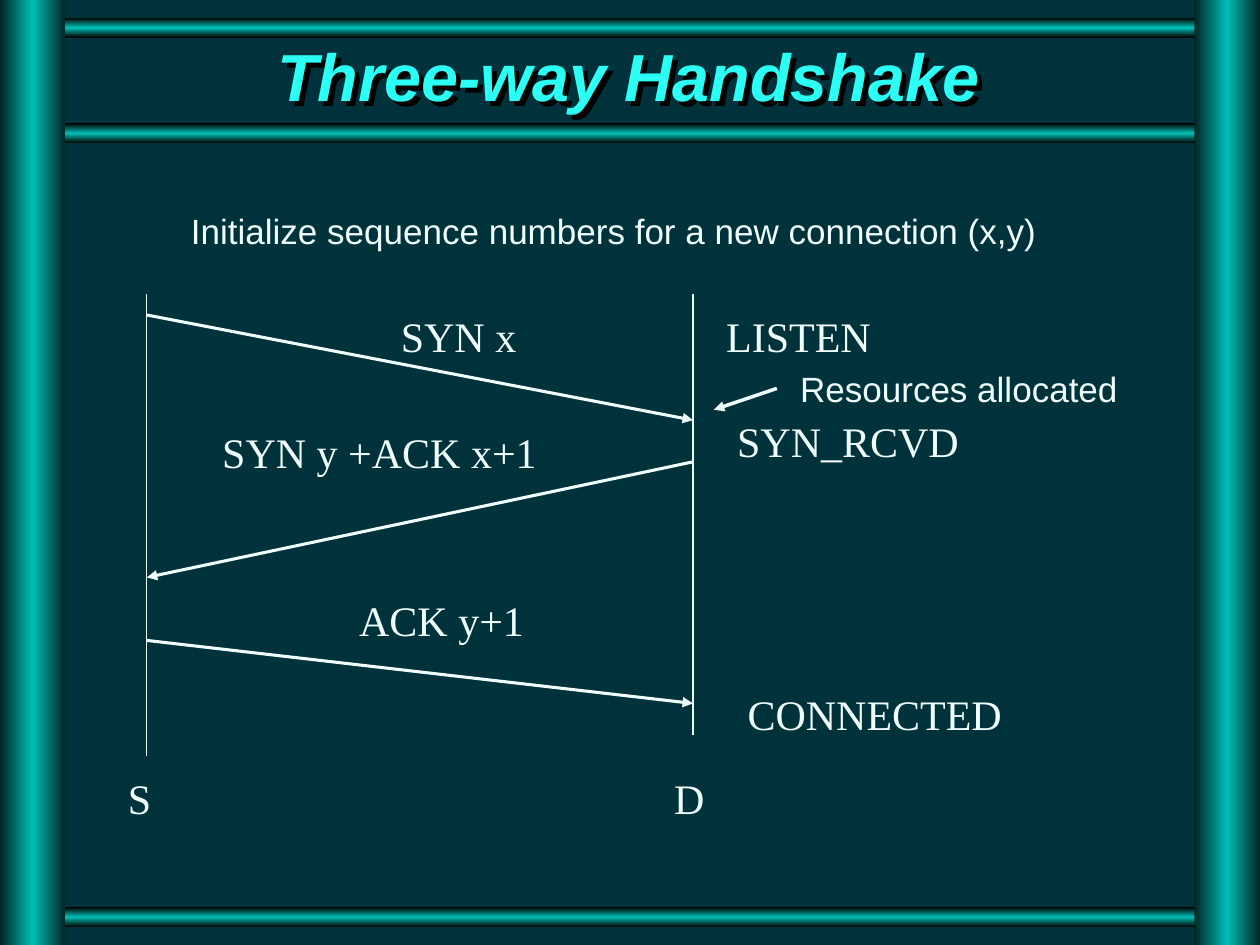
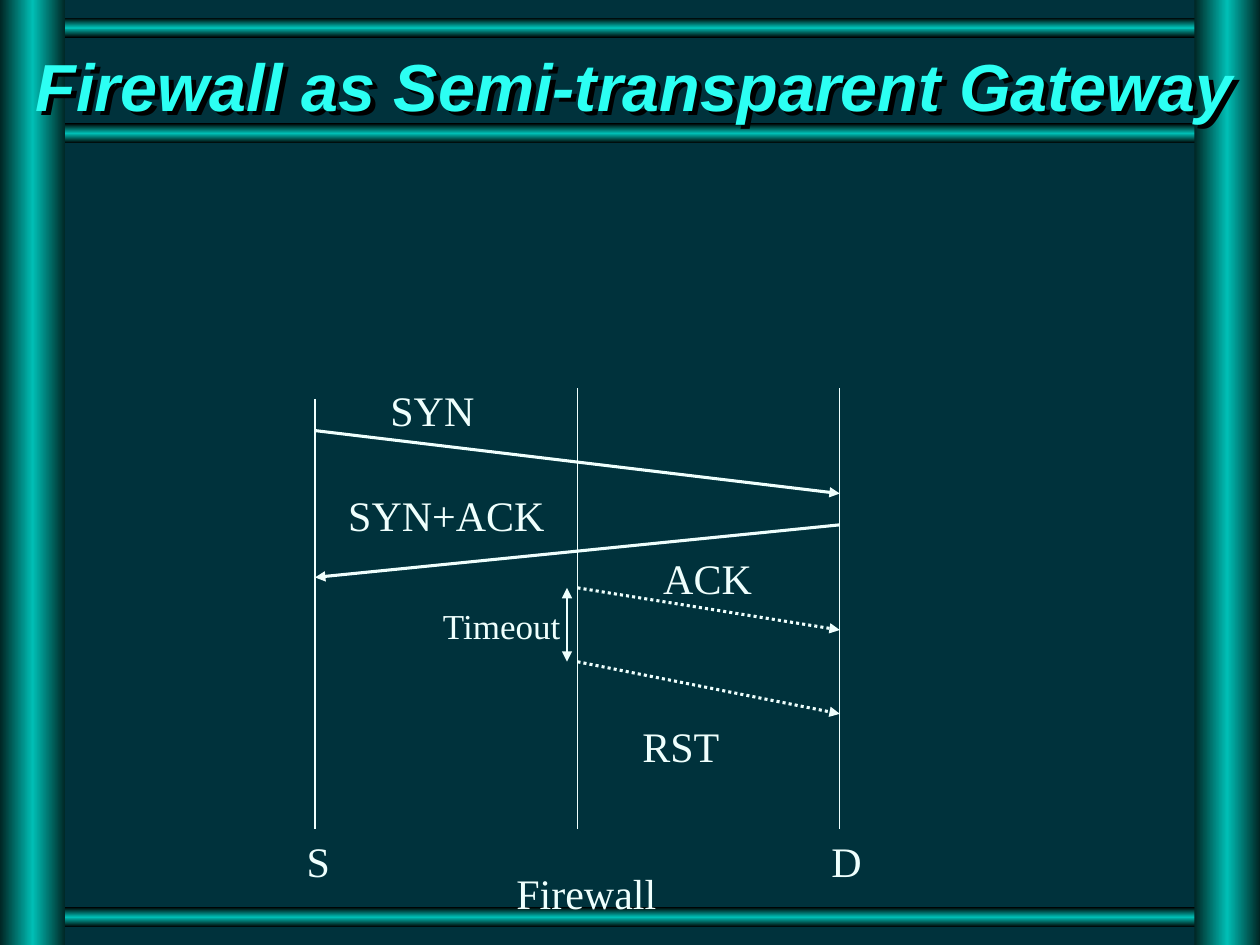
import copy

import pptx
import pptx.dml.color
import pptx.enum.dml
import pptx.enum.shapes
import pptx.enum.text
import pptx.oxml.ns
import pptx.oxml.xmlchemy
import pptx.util
from lxml import etree

Cm = pptx.util.Cm
Pt = pptx.util.Pt
RGBColor = pptx.dml.color.RGBColor
qn = pptx.oxml.ns.qn

# Shared look
NIGHT = RGBColor(0x00, 0x32, 0x3C)
TEAL = RGBColor(0x00, 0xBE, 0xB5)
DEEP_TEAL = RGBColor(0x00, 0x26, 0x24)
BLACK = RGBColor(0x00, 0x00, 0x00)
AQUA = RGBColor(0x2C, 0xFF, 0xF3)
PALE = RGBColor(0xEF, 0xFF, 0xFD)
SERIF, SANS = "Times New Roman", "Arial"
DOTTED = pptx.enum.dml.MSO_LINE.ROUND_DOT
WIDTH, HEIGHT = 25.4, 19.05
PILLAR = 1.32

# left, top, width, height, edge colour, gradient angle
BARS = [(0, top, WIDTH, 0.4, BLACK, 90) for top in (18.29, 0.36, 2.49)]
BARS += [(left, 0, PILLAR, HEIGHT, DEEP_TEAL, 0) for left in (0, WIDTH - PILLAR)]


def add_text(slide, text, left, top, width, height=1.27, size=24, font=SERIF,
             color=PALE, spacing=1.0, title=False):
    box = slide.shapes.add_textbox(Cm(left), Cm(top), Cm(width), Cm(height))
    frame = box.text_frame
    frame.word_wrap = True
    paragraph = frame.paragraphs[0]
    paragraph.line_spacing = spacing
    run = paragraph.add_run()
    run.text = text
    run.font.size = Pt(size)
    run.font.name = font
    run.font.color.rgb = color
    if title:
        frame.vertical_anchor = pptx.enum.text.MSO_ANCHOR.MIDDLE
        paragraph.alignment = pptx.enum.text.PP_ALIGN.CENTER
        run.font.bold = run.font.italic = True
        # Hard drop shadow down and to the right
        effects = etree.SubElement(box._element.spPr, qn("a:effectLst"))
        shadow = etree.SubElement(effects, qn("a:outerShdw"), dist=str(Pt(4)),
                                  dir="2700000", algn="ctr", rotWithShape="0")
        etree.SubElement(shadow, qn("a:srgbClr"), val=str(BLACK))


def add_line(slide, x1, y1, x2, y2, width=0.75, ends=(), dash=None):
    line = slide.shapes.add_connector(pptx.enum.shapes.MSO_CONNECTOR.STRAIGHT,
                                      Cm(x1), Cm(y1), Cm(x2), Cm(y2))
    line.line.color.rgb = PALE
    line.line.width = Pt(width)
    if dash:
        line.line.dash_style = dash
    for end in ends:
        etree.SubElement(line.line._get_or_add_ln(), qn(f"a:{end}"), type="triangle")
    etree.SubElement(line._element.spPr, qn("a:effectLst"))


deck = pptx.Presentation()
deck.slide_width, deck.slide_height = Cm(WIDTH), Cm(HEIGHT)
background = deck.slide_master.background.fill
background.solid()
background.fore_color.rgb = NIGHT

# Both slides: glowing bars, then the title
slides = []
for title, left, top, width in (
    ("Three-way Handshake", 1.27, 0.64, 22.81),
    ("Firewall as Semi-transparent Gateway", 0.2, 0.84, 25.2),
):
    slide = deck.slides.add_slide(deck.slide_layouts[6])
    slides.append(slide)
    for bar_left, bar_top, bar_width, bar_height, edge, angle in BARS:
        bar = slide.shapes.add_shape(pptx.enum.shapes.MSO_SHAPE.RECTANGLE, Cm(bar_left),
                                     Cm(bar_top), Cm(bar_width), Cm(bar_height))
        bar.shadow.inherit = False
        bar.line.fill.background()
        bar.fill.gradient()
        bar.fill.gradient_angle = angle
        first_stop = next(bar._element.spPr.iter(qn("a:gs")))
        first_stop.addnext(copy.deepcopy(first_stop))
        for stop, position, color in zip(bar.fill.gradient_stops, (0, 0.5, 1),
                                         (edge, TEAL, edge)):
            stop.position = position
            stop.color.rgb = color
    add_text(slide, title, left, top, width, height=1.96, size=38, font=SANS,
             color=AQUA, spacing=0.87, title=True)
handshake, gateway = slides

# Handshake: lifelines of source and destination
source_x, destination_x = 2.96, 13.97
add_line(handshake, source_x, 5.93, source_x, 15.24)
add_line(handshake, destination_x, 5.93, destination_x, 14.82)

# Handshake: the three messages
for start_x, start_y, end_x, end_y in (
    (source_x, 6.35, destination_x, 8.47),
    (destination_x, 9.31, source_x, 11.64),
    (source_x, 12.91, destination_x, 14.18),
):
    add_line(handshake, start_x, start_y, end_x, end_y, width=1.75, ends=["tailEnd"])

# Handshake: messages, states and ends
for label, left, top, width in (
    ("SYN x", 7.83, 6.14, 3.81),
    ("SYN y +ACK x+1", 4.23, 8.47, 7.62),
    ("ACK y+1", 6.99, 11.85, 5.08),
    ("LISTEN", 14.39, 6.14, 4.87),
    ("SYN_RCVD", 14.61, 8.26, 6.35),
    ("CONNECTED", 14.82, 13.76, 6.14),
    ("S", 2.33, 15.45, 1.69),
    ("D", 13.34, 15.45, 1.9),
):
    add_text(handshake, label, left, top, width)

# Handshake: remarks
for remark, left, top, width in (
    ("Initialize sequence numbers for a new connection (x,y)", 3.6, 4.23, 19.05),
    ("Resources allocated", 15.88, 7.41, 7.62),
):
    add_text(handshake, remark, left, top, width, height=1, size=20, font=SANS,
             spacing=0.85)
add_line(handshake, 15.66, 7.83, 14.39, 8.26, width=2, ends=["tailEnd"])

# Gateway: lifelines of source, firewall and destination
source_x, firewall_x, destination_x = 6.35, 11.64, 16.93
for x, top in ((source_x, 8.04), (firewall_x, 7.83), (destination_x, 7.83)):
    add_line(gateway, x, top, x, 16.72)

# Gateway: messages, dotted where the firewall sends them
for start_x, start_y, end_x, end_y, dash in (
    (source_x, 8.68, destination_x, 9.95, None),
    (destination_x, 10.58, source_x, 11.64, None),
    (firewall_x, 11.85, destination_x, 12.7, DOTTED),
    (firewall_x, 13.34, destination_x, 14.39, DOTTED),
):
    add_line(gateway, start_x, start_y, end_x, end_y, width=1.75, ends=["tailEnd"],
             dash=dash)

# Gateway: ends and messages
for label, left, top, width in (
    ("S", 5.93, 16.72, 1.48),
    ("Firewall", 10.16, 17.36, 4.87),
    ("D", 16.51, 16.72, 2.12),
    ("SYN", 7.62, 7.62, 3.18),
    ("SYN+ACK", 6.77, 9.74, 5.08),
    ("ACK", 13.12, 11.01, 2.96),
    ("RST", 12.7, 14.39, 3.39),
):
    add_text(gateway, label, left, top, width)

# Gateway: timeout span
add_line(gateway, 11.43, 11.85, 11.43, 13.34, ends=["headEnd", "tailEnd"])
add_text(gateway, "Timeout", 8.68, 12.07, 2.96, height=1.11, size=20)

deck.save("out.pptx")
